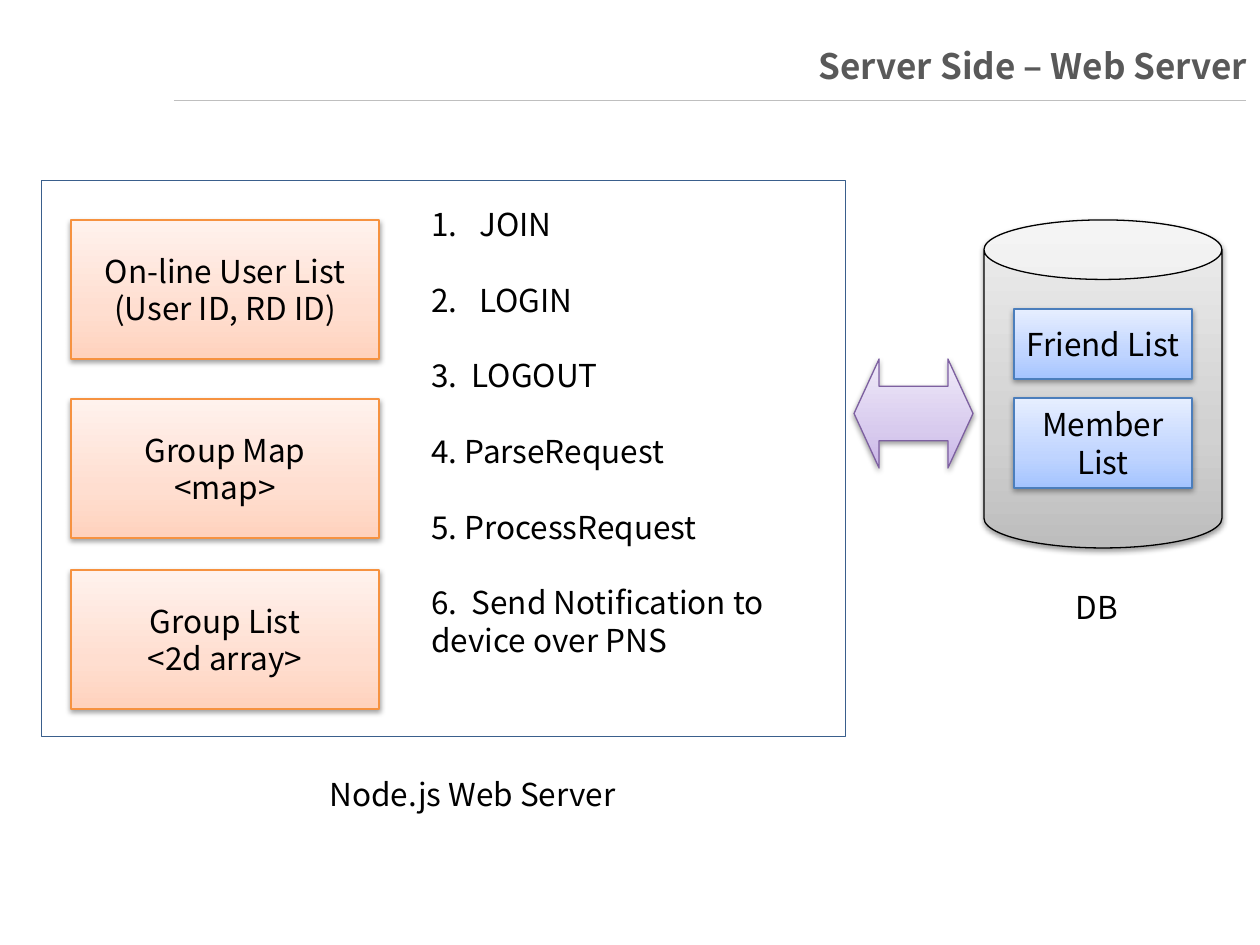
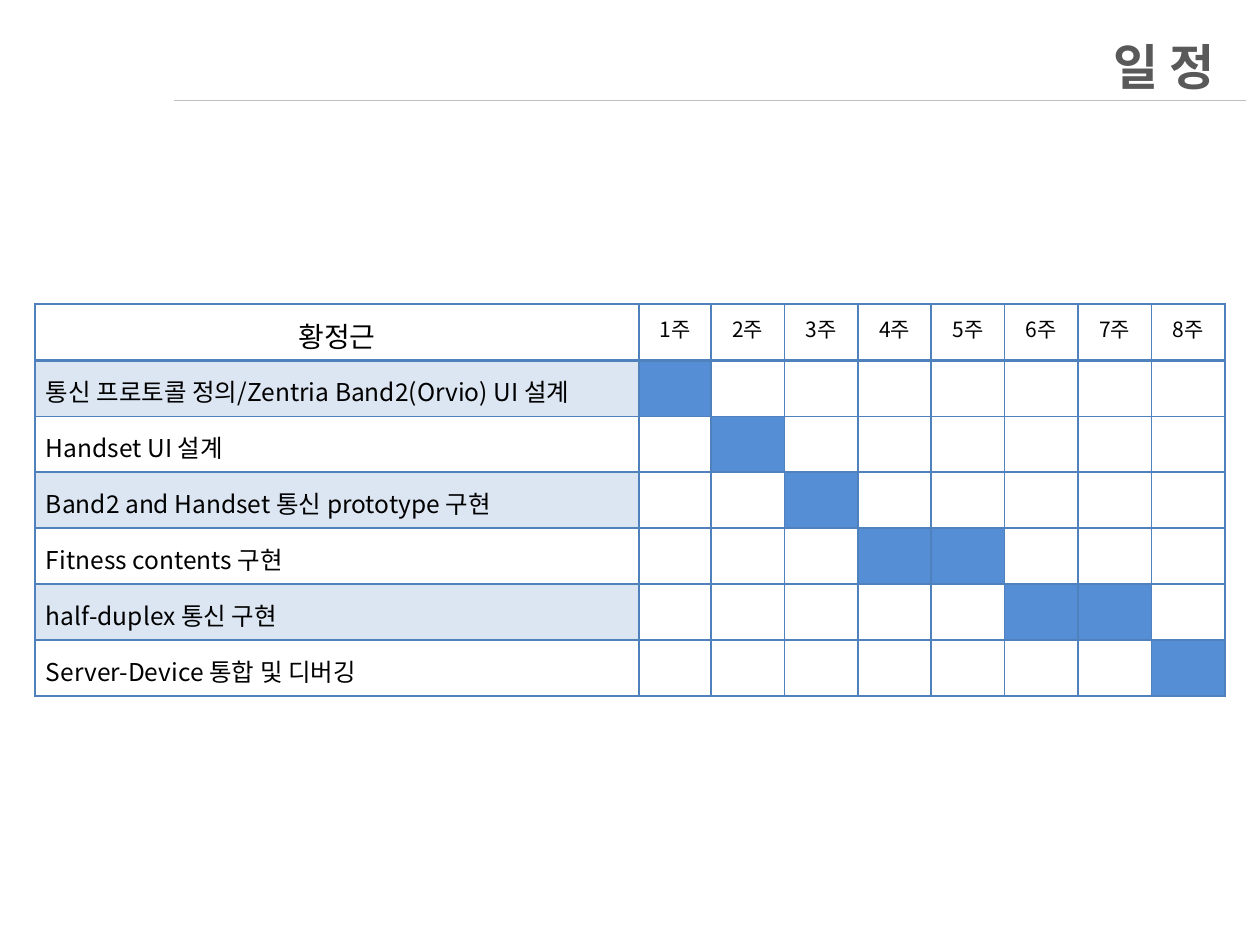
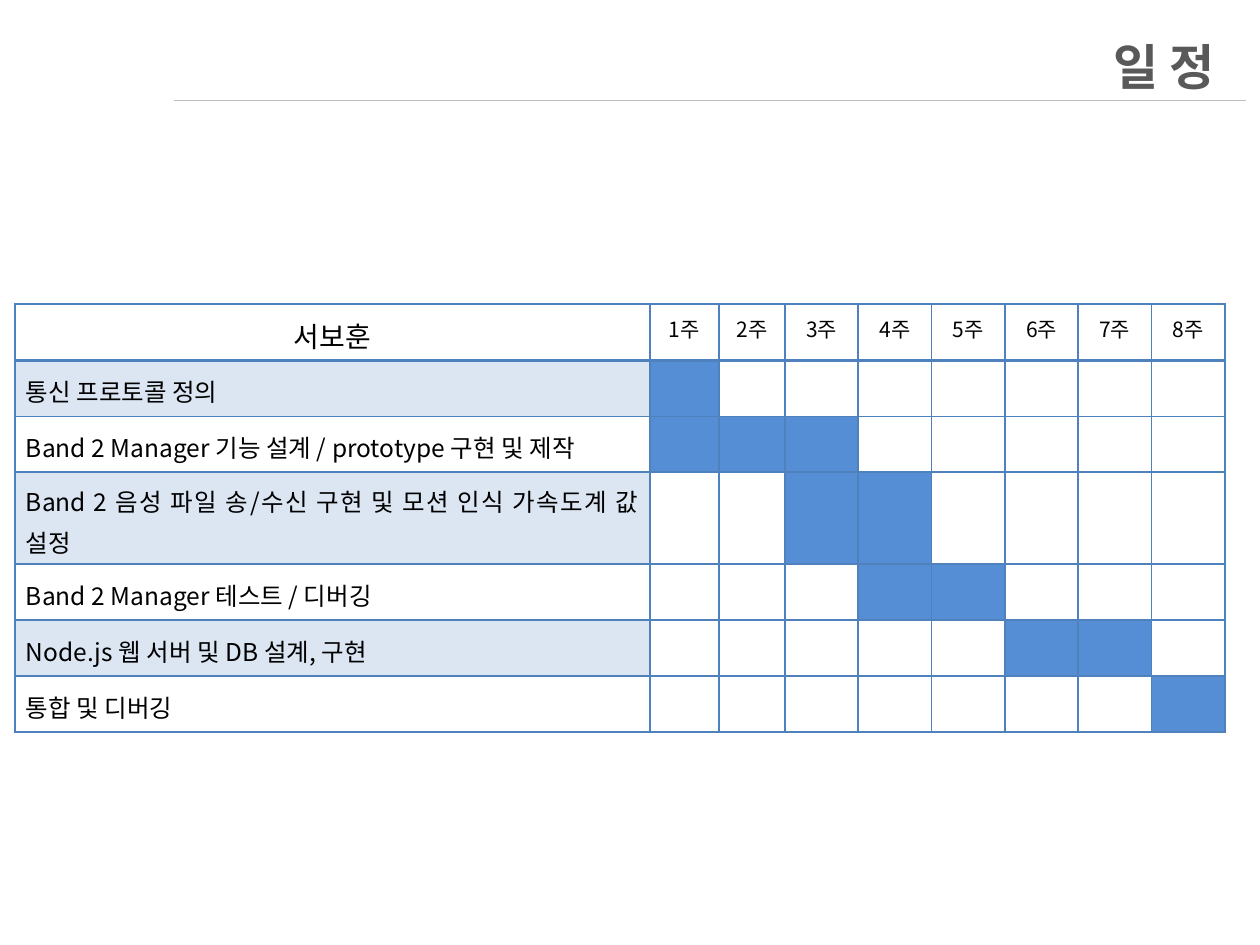
from lxml import etree
from pptx import Presentation
from pptx.dml.color import RGBColor
from pptx.enum.dml import MSO_LINE
from pptx.enum.shapes import MSO_CONNECTOR, MSO_SHAPE
from pptx.enum.text import MSO_ANCHOR as ANCHOR, MSO_AUTO_SIZE, PP_ALIGN as ALIGN
from pptx.oxml import parse_xml
from pptx.oxml.ns import nsdecls, qn
from pptx.util import Pt

FONT = "Noto Sans CJK KR"
SCALE = 914400 / 126  # EMU in one px

BLACK = RGBColor(0x00, 0x00, 0x00)
TITLE_GREY = RGBColor(0x59, 0x59, 0x59)
RULE_GREY = RGBColor(0xBF, 0xBF, 0xBF)
FRAME_BLUE = RGBColor(0x3A, 0x5F, 0x8C)
GRID_BLUE = RGBColor(0x4F, 0x81, 0xBD)
BAND_BLUE = RGBColor(0xDC, 0xE6, 0xF2)
BAR_BLUE = RGBColor(0x55, 0x8E, 0xD5)

# Gradient stops from bottom to top, then the line colour
ORANGE = (RGBColor(0xFF, 0xD2, 0xBD), RGBColor(0xFF, 0xDE, 0xD0),
          RGBColor(0xFF, 0xF2, 0xED), RGBColor(0xF6, 0x92, 0x40))
BLUE = (RGBColor(0xA4, 0xC4, 0xFF), RGBColor(0xBF, 0xD4, 0xFF),
        RGBColor(0xE6, 0xEE, 0xFF), RGBColor(0x4B, 0x7E, 0xBC))
PURPLE = (RGBColor(0xC9, 0xB5, 0xE8), RGBColor(0xD8, 0xCB, 0xEE),
          RGBColor(0xF0, 0xEA, 0xF9), RGBColor(0x7D, 0x60, 0xA0))
GREY = (RGBColor(0xBD, 0xBD, 0xBD), RGBColor(0xD1, 0xD1, 0xD1),
        RGBColor(0xEE, 0xEE, 0xEE), BLACK)

LINE_PITCH = Pt(21.6)
WEEKS = 8


def px(length):
    return round(length * SCALE)


def write(frame, text, size=18, color=BLACK, bold=False, align=ALIGN.CENTER,
          anchor=ANCHOR.TOP, spacing=LINE_PITCH, before=0, after=0):
    """Fill a text frame, one paragraph for each line of text."""
    frame.word_wrap = True
    frame.vertical_anchor = anchor
    for index, line in enumerate(text.split("\n")):
        paragraph = frame.add_paragraph() if index else frame.paragraphs[0]
        paragraph.alignment = align
        paragraph.line_spacing = spacing
        paragraph.space_before = Pt(before if index else 0)
        paragraph.space_after = Pt(after)
        run = paragraph.add_run()
        run.text = line
        run.font.name = FONT
        run.font.size = Pt(size)
        run.font.bold = bold
        run.font.color.rgb = color
        east_asian = etree.SubElement(run.font._element, qn("a:ea"))
        east_asian.set("typeface", FONT)


def add_text(slide, left, top, width, height, text, **style):
    shape = slide.shapes.add_textbox(px(left), px(top), px(width), px(height))
    write(shape.text_frame, text, **style)
    return shape


def add_glossy(slide, kind, left, top, width, height, palette, text=""):
    """Add a shape with a three-stop gradient and a soft shadow below."""
    shape = slide.shapes.add_shape(kind, px(left), px(top), px(width), px(height))
    *stops, line_color = palette
    shape.line.color.rgb = line_color
    shape.line.width = Pt(0.75)
    stop_xml = "".join(
        f'<a:gs pos="{position}"><a:srgbClr val="{color}"/></a:gs>'
        for position, color in zip((0, 35000, 100000), stops))
    properties = shape._element.spPr
    properties.find(qn("a:ln")).addprevious(parse_xml(
        f'<a:gradFill {nsdecls("a")} rotWithShape="1"><a:gsLst>{stop_xml}</a:gsLst>'
        '<a:lin ang="16200000" scaled="0"/></a:gradFill>'))
    properties.append(parse_xml(
        f'<a:effectLst {nsdecls("a")}><a:outerShdw blurRad="40000" dist="20000" '
        'dir="5400000" rotWithShape="0"><a:srgbClr val="000000">'
        '<a:alpha val="38000"/></a:srgbClr></a:outerShdw></a:effectLst>'))
    if text:
        write(shape.text_frame, text, anchor=ANCHOR.MIDDLE)
    return shape


def add_titled_slide(presentation, text, size, width):
    slide = presentation.slides.add_slide(presentation.slide_layouts[5])
    # Rule under the title
    rule = slide.shapes.add_connector(
        MSO_CONNECTOR.STRAIGHT, px(174), px(100), px(1245), px(100))
    rule.line.color.rgb = RULE_GREY
    rule.line.width = Pt(0.25)
    rule.line.dash_style = MSO_LINE.ROUND_DOT
    etree.SubElement(rule._element.spPr, qn("a:effectLst"))
    # Title
    title = slide.shapes.title
    title.left, title.top, title.width, title.height = map(px, (126, 37, width, 57))
    title.text_frame.auto_size = MSO_AUTO_SIZE.NONE
    write(title.text_frame, text, size=size, color=TITLE_GREY, bold=True,
          align=ALIGN.RIGHT, anchor=ANCHOR.MIDDLE, spacing=1.0)
    return slide


def add_web_server(slide, left, top, width, height):
    # Frame and caption
    frame = slide.shapes.add_shape(
        MSO_SHAPE.RECTANGLE, px(left), px(top), px(width), px(height))
    frame.shadow.inherit = False
    frame.fill.background()
    frame.line.color.rgb = FRAME_BLUE
    frame.line.width = Pt(0.25)
    add_text(slide, left + 253, top + height + 33, 357, 50, "Node.js Web Server")
    # Data held in memory
    stores = ((40, "On-line User List\n(User ID, RD ID)"),
              (219, "Group Map\n<map>"),
              (390, "Group List\n<2d array>"))
    for offset, text in stores:
        add_glossy(slide, MSO_SHAPE.RECTANGLE, left + 30, top + offset, 308, 139,
                   ORANGE, text)
    # Operations, the first two numbered automatically
    operations = add_text(
        slide, left + 378, top + 19, 427, 509,
        "JOIN\nLOGIN\n3.  LOGOUT\n4. ParseRequest\n5. ProcessRequest\n"
        "6.  Send Notification to device over PNS",
        align=ALIGN.LEFT, before=21.6)
    for paragraph in operations.text_frame.paragraphs[:2]:
        properties = paragraph._p.get_or_add_pPr()
        properties.set("marL", str(px(48)))
        properties.set("indent", str(px(-48)))
        numbering = etree.SubElement(properties, qn("a:buAutoNum"))
        numbering.set("type", "arabicPeriod")


def add_database(slide, left, top, width, height):
    add_glossy(slide, MSO_SHAPE.CAN, left, top, width, height, GREY)
    add_text(slide, left + 9, top + height + 34, 208, 50, "DB")
    for offset, table_height, text in ((89, 70, "Friend List"), (178, 90, "Member List")):
        add_glossy(slide, MSO_SHAPE.RECTANGLE, left + 30, top + offset,
                   width - 60, table_height, BLUE, text)


def build_server_slide(presentation):
    slide = add_titled_slide(presentation, "Server Side – Web Server", 20, 1134)
    add_web_server(slide, 41, 180, 804, 556)
    add_database(slide, 984, 220, 238, 328)
    arrow = add_glossy(slide, MSO_SHAPE.LEFT_RIGHT_ARROW, 854, 359, 119, 109, PURPLE)
    arrow.adjustments[1] = 0.23


def format_cell(cell, fill=None, bottom=1):
    """Draw the four borders of a cell, then fill it."""
    properties = cell._tc.get_or_add_tcPr()
    for side, width in (("L", 1), ("R", 1), ("T", 1), ("B", bottom)):
        properties.append(parse_xml(
            f'<a:ln{side} {nsdecls("a")} w="{Pt(width)}"><a:solidFill>'
            f'<a:srgbClr val="{GRID_BLUE}"/></a:solidFill></a:ln{side}>'))
    if fill is None:
        cell.fill.background()
    else:
        cell.fill.solid()
        cell.fill.fore_color.rgb = fill


def write_cell(cell, text, **style):
    cell.margin_left = cell.margin_right = px(11)
    cell.margin_top = cell.margin_bottom = px(5)
    write(cell.text_frame, text, spacing=1.15, **style)
    cell.vertical_anchor = style.get("anchor", ANCHOR.TOP)


def add_schedule(slide, left, top, width, first_widths, person, tasks):
    """Each task is (label, first week, last week)."""
    table = slide.shapes.add_table(
        len(tasks) + 1, WEEKS + 1, px(left), px(top), px(width), px(389)).table
    table.first_row = table.horz_banding = False
    # The columns without a width of their own share the rest equally
    shared = WEEKS + 1 - len(first_widths)
    widths = first_widths + [(width - sum(first_widths)) / shared] * shared
    for column, column_width in zip(table.columns, widths):
        column.width = px(column_width)
    for index, row in enumerate(table.rows):
        row.height = px(56 if index else 39)
    # Header
    for week in range(WEEKS + 1):
        cell = table.cell(0, week)
        format_cell(cell, bottom=2)
        if week:
            write_cell(cell, f"{week}주", size=12, after=10)
        else:
            write_cell(cell, person, size=16)
    # Tasks and their bars
    for row, (label, start, end) in enumerate(tasks, 1):
        name_cell = table.cell(row, 0)
        format_cell(name_cell, BAND_BLUE if row % 2 else None)
        write_cell(name_cell, label, size=14, align=ALIGN.JUSTIFY, anchor=ANCHOR.MIDDLE)
        for week in range(1, WEEKS + 1):
            format_cell(table.cell(row, week), BAR_BLUE if start <= week <= end else None)


def build_schedule_slide(presentation, left, first_widths, person, tasks):
    slide = add_titled_slide(presentation, "일 정", 28, 1101)
    add_schedule(slide, left, 304, 1225 - left, first_widths, person, tasks)


def main():
    presentation = Presentation()
    presentation.slide_width = px(1260)
    presentation.slide_height = px(945)
    build_server_slide(presentation)
    build_schedule_slide(presentation, 35, [604, 72], "황정근", (
        ("통신 프로토콜 정의/Zentria Band2(Orvio) UI 설계", 1, 1),
        ("Handset UI 설계", 2, 2),
        ("Band2 and Handset 통신 prototype 구현", 3, 3),
        ("Fitness contents 구현", 4, 5),
        ("half-duplex 통신 구현", 6, 7),
        ("Server-Device 통합 및 디버깅", 8, 8)))
    build_schedule_slide(presentation, 15, [635, 69, 66], "서보훈", (
        ("통신 프로토콜 정의", 1, 1),
        ("Band 2 Manager 기능 설계 / prototype 구현 및 제작", 1, 3),
        ("Band 2 음성 파일 송/수신 구현 및 모션 인식 가속도계 값 설정", 3, 4),
        ("Band 2 Manager 테스트 / 디버깅", 4, 5),
        ("Node.js 웹 서버 및 DB 설계, 구현", 6, 7),
        ("통합 및 디버깅", 8, 8)))
    presentation.save("out.pptx")


if __name__ == "__main__":
    main()
